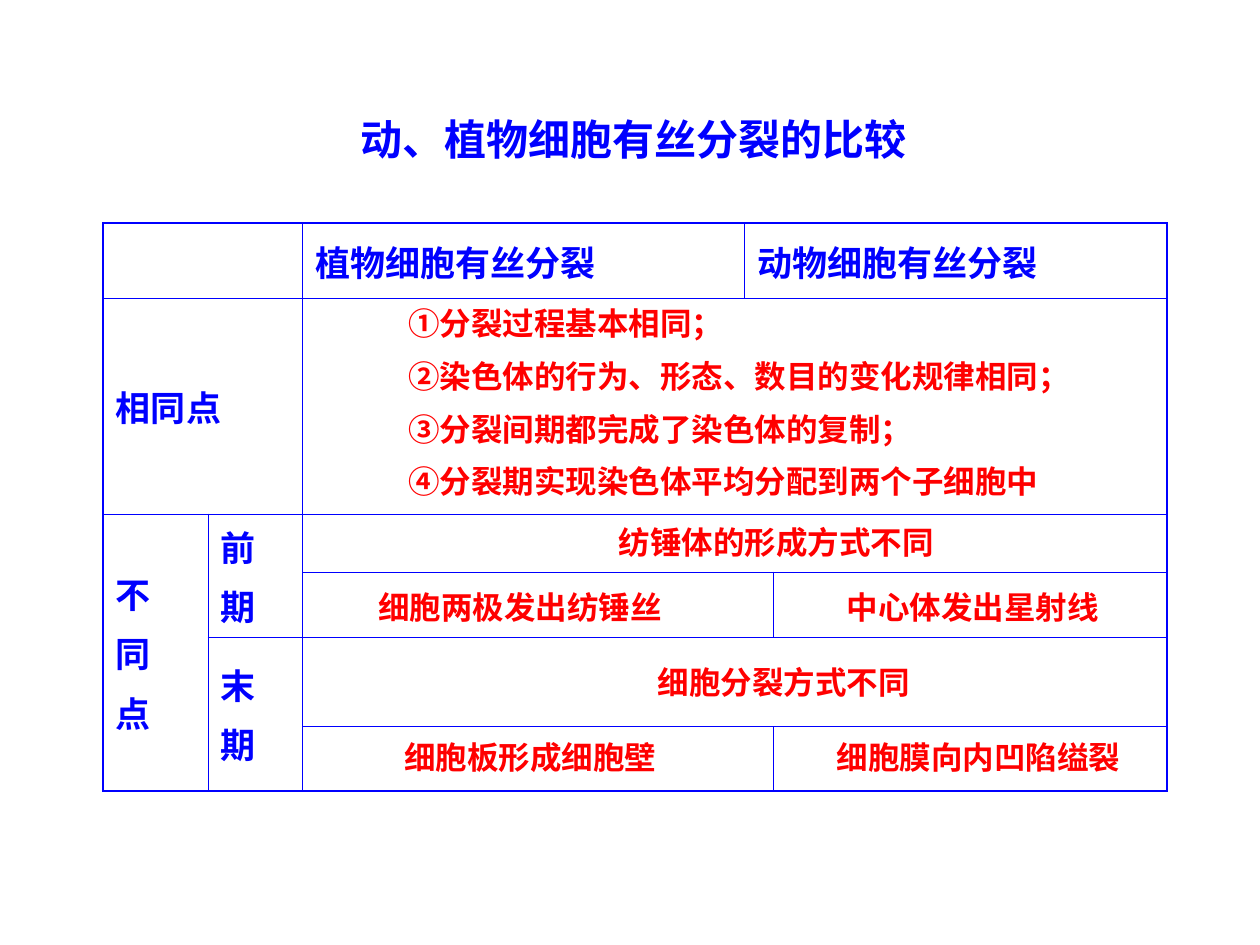
from dataclasses import dataclass
from pptx import Presentation
from pptx import util as u
from pptx.dml.color import RGBColor
from pptx.enum import text
from pptx.oxml import parse_xml
from pptx.oxml.ns import nsdecls

Inches, Pt = u.Inches, u.Pt


@dataclass(frozen=True)
class Theme:
    blue: str = "0000FF"
    red: str = "FF0000"
    face: str = "Noto Sans CJK SC"
    latin: str = "Arial"
    title: int = 24
    head: int = 20
    body: int = 18
    thin: float = 0.45
    thick: float = 1.08


T = Theme()
MID = text.MSO_ANCHOR.MIDDLE
CENTER = text.PP_ALIGN.CENTER


def style(para, size, color, face):
    for run in para.runs:
        font = run.font
        font.size, font.bold, font.name = Pt(size), True, face
        font.color.rgb = RGBColor.from_string(color)
        font._element.append(parse_xml(
            f'<a:ea {nsdecls("a")} typeface="{T.face}"/>'))


def fill(frame, words, size, color, face=T.face, align=None, line=None, gap=0):
    frame.text = words
    for i, para in enumerate(frame.paragraphs):
        para.alignment = align
        para.line_spacing = line
        para.space_before = Pt(gap if i else 0)
        style(para, size, color, face)


def add_title(slide, box):
    title = slide.shapes.title
    title.left, title.top, title.width, title.height = map(Inches, box)
    frame = title.text_frame
    frame.vertical_anchor = MID
    fill(frame, "动、植物细胞有丝分裂的比较", T.title, T.blue,
         align=CENTER, line=1.2)


def add_note(slide, box, words, align=CENTER, line=None, wrap=False, indent=0):
    note = slide.shapes.add_textbox(*map(Inches, box))
    frame = note.text_frame
    frame.word_wrap = wrap
    frame.vertical_anchor = MID
    fill(frame, words, T.body, T.red, align=align, line=line)
    if indent:
        for para in frame.paragraphs:
            para._p.get_or_add_pPr().set("marL", str(Inches(indent)))


def edge(cell, sides):
    """Draw the four borders; sides maps L, R, T, B to a width."""
    props = cell._tc.get_or_add_tcPr()
    for i, (side, width) in enumerate(sides.items()):
        props.insert(i, parse_xml(
            f'<a:ln{side} {nsdecls("a")} w="{Pt(width)}"><a:solidFill>'
            f'<a:srgbClr val="{T.blue}"/></a:solidFill></a:ln{side}>'))


def add_grid(slide, left, top):
    cols = [0.83, 0.75, 3.51, 0.23, 3.12]
    rows = [0.6, 1.71, 0.46, 0.5, 0.71, 0.51]
    frame = slide.shapes.add_table(
        len(rows), len(cols), Inches(left), Inches(top),
        Inches(sum(cols)), Inches(sum(rows)))
    table = frame.table
    table.first_row = table.horz_banding = False
    for col, width in zip(table.columns, cols):
        col.width = Inches(width)
    for row, height in zip(table.rows, rows):
        row.height = Inches(height)

    # Merged cells: first row and column, last row and column
    for r1, c1, r2, c2 in [(0, 0, 0, 1), (0, 3, 0, 4), (1, 0, 1, 1),
                           (1, 2, 1, 4), (2, 0, 5, 0), (2, 1, 3, 1),
                           (2, 2, 2, 4), (3, 2, 3, 3), (4, 1, 5, 1),
                           (4, 2, 4, 4), (5, 2, 5, 3)]:
        table.cell(r1, c1).merge(table.cell(r2, c2))

    # Plain cells, thick outer frame and thin inner rules
    for r in range(len(rows)):
        for c in range(len(cols)):
            cell = table.cell(r, c)
            cell.fill.background()
            high = cell.span_height if cell.is_merge_origin else 1
            wide = cell.span_width if cell.is_merge_origin else 1
            outer = {"L": c == 0, "R": c + wide == len(cols),
                     "T": r == 0, "B": r + high == len(rows)}
            edge(cell, {k: T.thick if out else T.thin
                        for k, out in outer.items()})

    # Headings
    heads = {(0, 2): "植物细胞有丝分裂", (0, 3): "动物细胞有丝分裂",
             (1, 0): "相同点", (2, 0): "不\n同\n点",
             (2, 1): "前\n期", (4, 1): "末\n期"}
    for (r, c), words in heads.items():
        cell = table.cell(r, c)
        cell.vertical_anchor = MID
        fill(cell.text_frame, words, T.head, T.blue, T.latin, gap=5)


def add_notes(slide):
    # Shared features
    add_note(slide, (2.84, 2.24, 6.07, 1.78),
             "①分裂过程基本相同；\n"
             "②染色体的行为、形态、数目的变化规律相同；\n"
             "③分裂间期都完成了染色体的复制；\n"
             "④分裂期实现染色体平均分配到两个子细胞中",
             align=None, line=1.4, wrap=True, indent=0.3)
    # Differences
    add_note(slide, (4.81, 4.04, 2.7, 0.46), "纺锤体的形成方式不同", line=1.2)
    for left, top, width, words in [
            (2.9, 4.62, 2.45, "细胞两极发出纺锤丝"),
            (6.62, 4.62, 2.2, "中心体发出星射线"),
            (5.12, 5.21, 2.2, "细胞分裂方式不同"),
            (3.11, 5.81, 2.2, "细胞板形成细胞壁"),
            (6.54, 5.81, 2.45, "细胞膜向内凹陷缢裂")]:
        add_note(slide, (left, top, width, 0.4), words)


def main():
    deck = Presentation()
    deck.slide_width, deck.slide_height = Inches(10), Inches(7.5)
    slide = deck.slides.add_slide(deck.slide_layouts[5])
    add_title(slide, (2.41, 0.77, 5.23, 0.58))
    add_grid(slide, 0.82, 1.77)
    add_notes(slide)
    deck.save("out.pptx")


if __name__ == "__main__":
    main()
